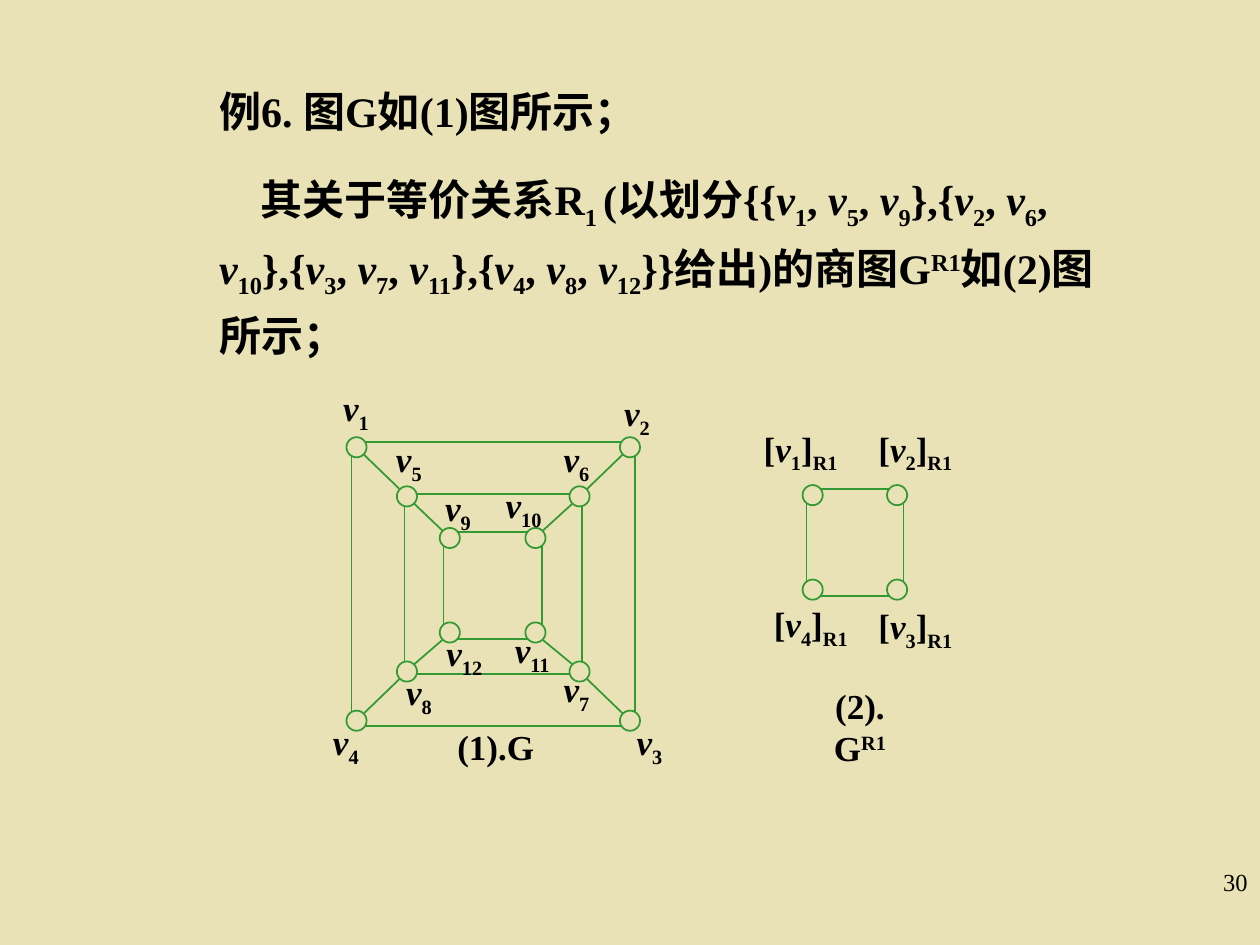
import pptx
import pptx.util
import pptx.dml.color
import pptx.enum.shapes
import pptx.enum.text
import pptx.oxml.ns
import lxml.etree

Inches = pptx.util.Inches
Pt = pptx.util.Pt
ALIGN = pptx.enum.text.PP_ALIGN

SAND = pptx.dml.color.RGBColor(0xE9, 0xE2, 0xB6)
GREEN = pptx.dml.color.RGBColor(0x33, 0x99, 0x33)
BLACK = pptx.dml.color.RGBColor(0, 0, 0)
FONT = "Times New Roman"
NODE_SIZE = 0.16
SHIFTS = {"_": "-25000", "^": "30000"}


def add_text(slide, box, paragraphs, size=20, bold=True, align=ALIGN.CENTER,
             inset=(0, 0), line_spacing=None, gap=0, indents=()):
    """Pieces are split by |; v is italic, _ lowers a piece and ^ raises it."""
    frame = slide.shapes.add_textbox(*map(Inches, box)).text_frame
    frame.word_wrap = True
    frame.margin_left = frame.margin_right = Inches(inset[0])
    frame.margin_top = frame.margin_bottom = Inches(inset[1])
    for number, text in enumerate(paragraphs):
        paragraph = frame.add_paragraph() if number else frame.paragraphs[0]
        paragraph.alignment = align
        if line_spacing:
            paragraph.line_spacing = line_spacing
        if number:
            paragraph.space_before = Pt(gap)
        if number < len(indents):
            paragraph._p.get_or_add_pPr().set("indent", str(Inches(indents[number])))
        for piece in text.split("|"):
            shift = SHIFTS.get(piece[:1])
            run = paragraph.add_run()
            run.text = piece[1:] if shift else piece
            run.font.name = FONT
            run.font.size = Pt(size)
            run.font.bold = bold
            run.font.italic = piece == "v"
            run.font.color.rgb = BLACK
            if shift:
                run._r.get_or_add_rPr().set("baseline", shift)


def add_edge(slide, start, end):
    edge = slide.shapes.add_connector(
        pptx.enum.shapes.MSO_CONNECTOR.STRAIGHT, *map(Inches, (*start, *end)))
    edge.line.color.rgb = GREEN
    edge.line.width = Pt(1)
    lxml.etree.SubElement(edge._element.spPr, pptx.oxml.ns.qn("a:effectLst"))


def add_node(slide, center):
    x, y = center
    node = slide.shapes.add_shape(
        pptx.enum.shapes.MSO_SHAPE.OVAL, Inches(x - NODE_SIZE / 2), Inches(y - NODE_SIZE / 2),
        Inches(NODE_SIZE), Inches(NODE_SIZE))
    node.shadow.inherit = False
    node.fill.background()
    node.line.color.rgb = GREEN
    node.line.width = Pt(1)


def corners(box):
    left, top, width, height = box
    right, bottom = left + width, top + height
    return [(left, top), (right, top), (right, bottom), (left, bottom)]


def add_ring(slide, box, outset, trim, labels, offsets, label_width):
    left, top, width, height = box
    right, bottom = left + width, top + height
    for y in (top - outset, bottom + outset):
        add_edge(slide, (left + trim, y), (right - trim, y))
    for x in (left - outset, right + outset):
        add_edge(slide, (x, top + trim), (x, bottom - trim))
    for (x, y), label, (dx, dy) in zip(corners(box), labels, offsets):
        add_node(slide, (x, y))
        add_text(slide, (x + dx, y + dy, label_width, 0.38), [label])


def add_spokes(slide, outer, inner, trim):
    for (x1, y1), (x2, y2) in zip(corners(outer), corners(inner)):
        dx = trim if x2 > x1 else -trim
        dy = trim if y2 > y1 else -trim
        add_edge(slide, (x1 + dx, y1 + dy), (x2 - dx, y2 - dy))


def add_statement(slide, box):
    classes = [", |".join(f"v|_{n}|" for n in range(first, 13, 4)) for first in range(1, 5)]
    partition = "},{|".join(classes)
    add_text(slide, box, [
        "例6. 图G如(1)图所示；",
        "其关于等价关系R|_1 |(以划分{{|" + partition + "}}给出)的商图G|^R1|如(2)图所示；",
    ], size=24, align=ALIGN.LEFT, inset=(0.1, 0.05), line_spacing=1.2, gap=15,
        indents=(0, 0.33))


def add_graph(slide, box):
    left, top = box[:2]
    rings = [
        (box, 0.04, 0.07, [(-0.17, -0.48), (-0.11, -0.44), (-0.01, 0), (-0.25, 0)]),
        ((left + 0.4, top + 0.39, 1.37, 1.39), 0.02, 0.08,
         [(-0.15, -0.47), (-0.19, -0.47), (-0.19, -0.03), (-0.07, -0.01)]),
        ((left + 0.74, top + 0.72, 0.68, 0.75), 0.05, 0.06,
         [(-0.1, -0.41), (-0.26, -0.43), (-0.19, -0.03), (-0.05, -0.01)]),
    ]
    for level, (ring, outset, trim, offsets) in enumerate(rings):
        labels = [f"v|_{4 * level + n}" for n in range(1, 5)]
        add_ring(slide, ring, outset, trim, labels, offsets, 0.33)
    for outer, inner in zip(rings, rings[1:]):
        add_spokes(slide, outer[0], inner[0], 0.06)
    add_text(slide, (left + 0.75, top + 2.21, 0.71, 0.33), ["(1).G"])


def add_quotient_graph(slide, box):
    left, top = box[:2]
    labels = [f"[|v|_{n}|]|_R1" for n in range(1, 5)]
    offsets = [(-0.41, -0.54), (-0.17, -0.54), (-0.17, 0.12), (-0.33, 0.1)]
    add_ring(slide, box, 0.05, 0.06, labels, offsets, 0.63)
    add_text(slide, (left - 0.05, top + 1.5, 0.85, 0.67), ["(2). G|^R1"])


def main():
    deck = pptx.Presentation()
    deck.slide_width, deck.slide_height = Inches(10), Inches(7.5)
    slide = deck.slides.add_slide(deck.slide_layouts[6])
    slide.background.fill.solid()
    slide.background.fill.fore_color.rgb = SAND
    add_text(slide, (7.92, 6.83, 2.08, 0.5), ["30"], size=14, bold=False,
             align=ALIGN.RIGHT, inset=(0.1, 0.05))
    add_statement(slide, (1.64, 0.55, 7.19, 2.36))
    add_graph(slide, (2.83, 3.55, 2.17, 2.17))
    add_quotient_graph(slide, (6.45, 3.93, 0.67, 0.75))
    deck.save("out.pptx")


if __name__ == "__main__":
    main()
